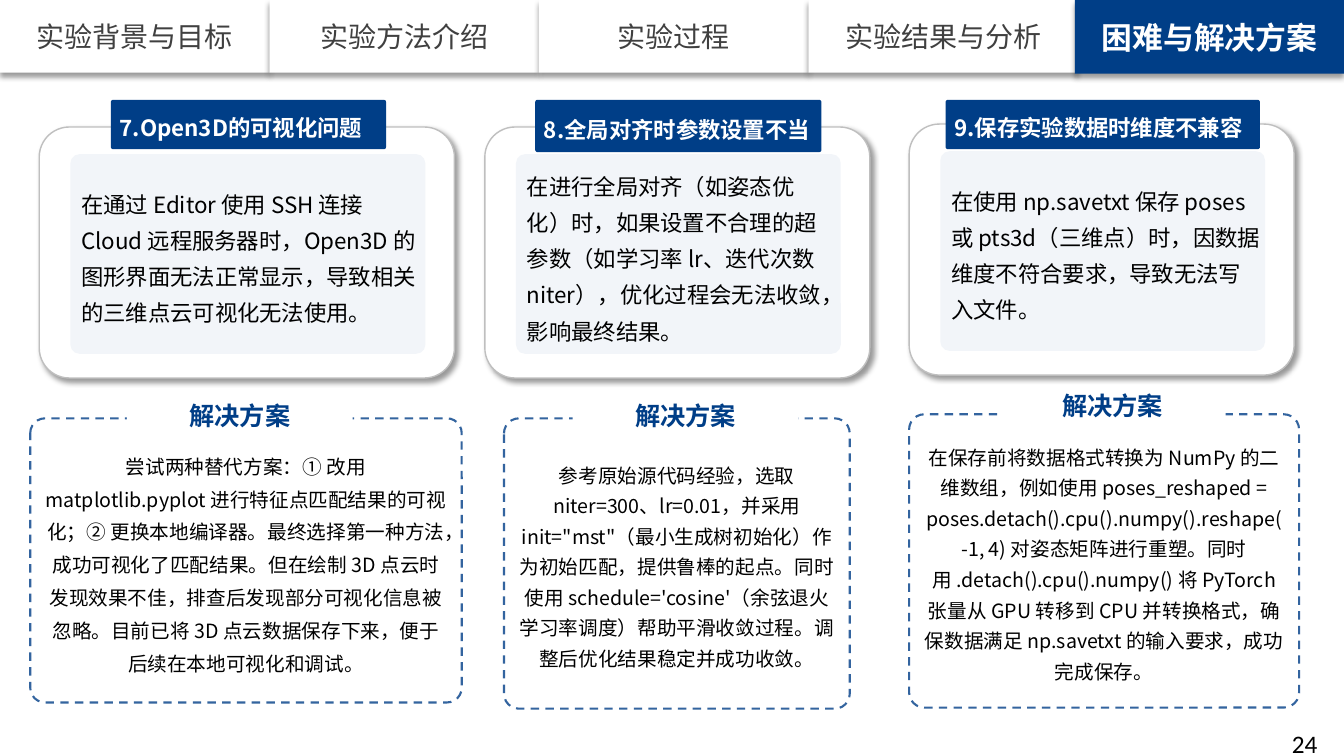
import pptx
import pptx.util
import pptx.dml.color
import pptx.enum.dml
import pptx.enum.shapes
import pptx.enum.text
import pptx.oxml
import pptx.oxml.ns
from dataclasses import dataclass

Pt = pptx.util.Pt
Kind = pptx.enum.shapes.MSO_SHAPE
Align = pptx.enum.text.PP_ALIGN
Anchor = pptx.enum.text.MSO_ANCHOR
qn = pptx.oxml.ns.qn


@dataclass(frozen=True)
class Theme:
    navy: str = "003E87"
    white: str = "FFFFFF"
    pale: str = "F2F5F9"
    edge: str = "BFBFBF"
    grey: str = "404040"
    black: str = "000000"
    font: str = "Noto Sans CJK SC"
    digit: str = "Calibri"
    tab: int = 20
    active: int = 22
    head: int = 16
    body: int = 16
    label: int = 18
    answer: int = 14
    page: int = 18


THEME = Theme()
TABS = ["实验背景与目标", "实验方法介绍", "实验过程", "实验结果与分析", "困难与解决方案"]

# Boxes are (left, top, width, height) in points.
ISSUES = [
    dict(card=(28, 90.7, 296.6, 179.3), head=(79.2, 71.3, 196.6, 35.3),
         reply=(21.6, 298.8, 308.2, 203), label=(90.7, 282.2), space=1.4,
         title="7.Open3D的可视化问题",
         issue="在通过 Editor 使用 SSH 连接 Cloud 远程服务器时，Open3D 的图形界面无法正常显示，"
               "导致相关的三维点云可视化无法使用。",
         fix="尝试两种替代方案：① 改用 matplotlib.pyplot 进行特征点匹配结果的可视化；"
             "② 更换本地编译器。最终选择第一种方法，成功可视化了匹配结果。"
             "但在绘制 3D 点云时发现效果不佳，排查后发现部分可视化信息被忽略。"
             "目前已将 3D 点云数据保存下来，便于后续在本地可视化和调试。"),
    dict(card=(346.3, 90.7, 275, 179.3), head=(382.3, 71.3, 204.5, 37.4),
         reply=(360, 298.8, 247, 207.4), label=(409, 282.2), space=1.3,
         title="8.全局对齐时参数设置不当",
         issue="在进行全局对齐（如姿态优化）时，如果设置不合理的超参数（如学习率 lr、"
               "迭代次数 niter），优化过程会无法收敛，影响最终结果。",
         fix="参考原始源代码经验，选取 niter=300、lr=0.01，并采用 init=\"mst\""
             "（最小生成树初始化）作为初始匹配，提供鲁棒的起点。"
             "同时使用 schedule='cosine'（余弦退火学习率调度）帮助平滑收敛过程。"
             "调整后优化结果稳定并成功收敛。"),
    dict(card=(649.4, 88.6, 275, 179.3), head=(675.4, 71.3, 224.6, 35.3),
         reply=(649.4, 295.9, 278.6, 209.5), label=(714.2, 275), space=1.3,
         title="9.保存实验数据时维度不兼容",
         issue="在使用 np.savetxt 保存 poses 或 pts3d（三维点）时，因数据维度不符合要求，"
               "导致无法写入文件。",
         fix="在保存前将数据格式转换为 NumPy 的二维数组，例如使用 poses_reshaped = "
             "poses.detach().cpu().numpy().reshape(-1, 4) 对姿态矩阵进行重塑。"
             "同时用 .detach().cpu().numpy() 将 PyTorch 张量从 GPU 转移到 CPU 并转换格式，"
             "确保数据满足 np.savetxt 的输入要求，成功完成保存。"),
]


def tint(color):
    return pptx.dml.color.RGBColor.from_string(color)


def fade(fill, alpha):
    """Make a solid fill partly transparent; alpha is the opacity in percent."""
    color = fill._xPr.find(qn("a:solidFill"))[0]
    color.append(pptx.oxml.parse_xml(
        '<a:alpha xmlns:a="http://schemas.openxmlformats.org/drawingml/2006/main" '
        f'val="{alpha * 1000}"/>'))


def shade(shape, angle):
    """Give a shape a soft black outer shadow."""
    shape.shadow.inherit = False
    shape._element.spPr.find(qn("a:effectLst")).append(pptx.oxml.parse_xml(
        '<a:outerShdw xmlns:a="http://schemas.openxmlformats.org/drawingml/2006/main" '
        f'blurRad="{Pt(4)}" dist="{Pt(3)}" dir="{angle * 60000}" algn="ctr" rotWithShape="0">'
        '<a:srgbClr val="000000"><a:alpha val="40000"/></a:srgbClr></a:outerShdw>'))


def panel(slide, box, fill, round=None):
    kind = Kind.RECTANGLE if round is None else Kind.ROUNDED_RECTANGLE
    shape = slide.shapes.add_shape(kind, *map(Pt, box))
    if round is not None:
        shape.adjustments[0] = round
    shape.shadow.inherit = False
    shape.fill.solid()
    shape.fill.fore_color.rgb = tint(fill)
    shape.line.fill.background()
    return shape


def write(shape, text, size, color, bold=False, align=Align.CENTER, space=None,
          anchor=Anchor.MIDDLE, inset=(7.2, 3.6, 7.2, 3.6), font=THEME.font):
    frame = shape.text_frame
    frame.word_wrap = True
    frame.vertical_anchor = anchor
    (frame.margin_left, frame.margin_top,
     frame.margin_right, frame.margin_bottom) = map(Pt, inset)
    frame.text = text
    para = frame.paragraphs[0]
    para.alignment = align
    if space:
        para.line_spacing = space
    run = para.runs[0]
    run.font.size = Pt(size)
    run.font.bold = bold
    run.font.color.rgb = tint(color)
    run.font.name = font
    east = run._r.get_or_add_rPr().makeelement(qn("a:ea"), {"typeface": font})
    run._r.rPr.find(qn("a:latin")).addnext(east)


def tabs(slide, box, names):
    """Draw the section tabs; the last one is the current section."""
    left, top, width, height = box
    step = width / len(names)
    for i, name in enumerate(names[:-1]):
        tab = panel(slide, (left + i * step, top, step, height), THEME.white)
        shade(tab, 90)
        write(tab, name, THEME.tab, THEME.grey, inset=(2.9, 3.6, 2.9, 3.6))
    wide = 192.2
    tab = panel(slide, (960 - wide, top, wide, height + 0.7), THEME.navy)
    shade(tab, 90)
    write(tab, names[-1], THEME.active, THEME.white, bold=True)


def issue(slide, box, head, title, text):
    """Draw a problem card with its heading plate and inner text panel."""
    left, top, width, height = box
    card = panel(slide, box, THEME.white, 0.12)
    card.line.color.rgb = tint(THEME.edge)
    card.line.width = Pt(1)
    shade(card, 45)
    inner = panel(slide, (left + 22.3, top + 19.4, width - 43, height - 36.7),
                  THEME.pale, 0.046)
    left_text = dict(align=Align.LEFT, inset=(5.8, 0, 0, 0))
    write(inner, text, THEME.body, THEME.black, space=1.35, **left_text)
    plate = panel(slide, head, THEME.navy, 0.046)
    write(plate, title, THEME.head, THEME.white, bold=True, space=1.25, **left_text)


def reply(slide, box, label, text, space):
    """Draw a dashed solution box with a label breaking its top edge."""
    frame = panel(slide, box, THEME.white, 0.052)
    fade(frame.fill, 30)
    frame.line.color.rgb = tint(THEME.navy)
    frame.line.width = Pt(1.5)
    fade(frame.line.fill, 80)
    frame.line.dash_style = pptx.enum.dml.MSO_LINE.DASH
    write(frame, text, THEME.answer, THEME.black, space=space)
    plate = panel(slide, (*label, 161.3, 33.1), THEME.white)
    write(plate, "解决方案", THEME.label, THEME.navy, bold=True, anchor=Anchor.TOP)


def page(slide, box, number):
    note = slide.shapes.add_textbox(*map(Pt, box))
    write(note, number, THEME.page, THEME.black, align=Align.RIGHT,
          anchor=Anchor.TOP, font=THEME.digit)


def main():
    deck = pptx.Presentation()
    deck.slide_width, deck.slide_height = Pt(960), Pt(540)
    slide = deck.slides.add_slide(deck.slide_layouts[6])
    tabs(slide, (0, 0, 962.5, 51.9), TABS)
    for item in ISSUES:
        issue(slide, item["card"], item["head"], item["title"], item["issue"])
        reply(slide, item["reply"], item["label"], item["fix"], item["space"])
    page(slide, (732.2, 517, 216, 23), "24")
    deck.save("out.pptx")


if __name__ == "__main__":
    main()
